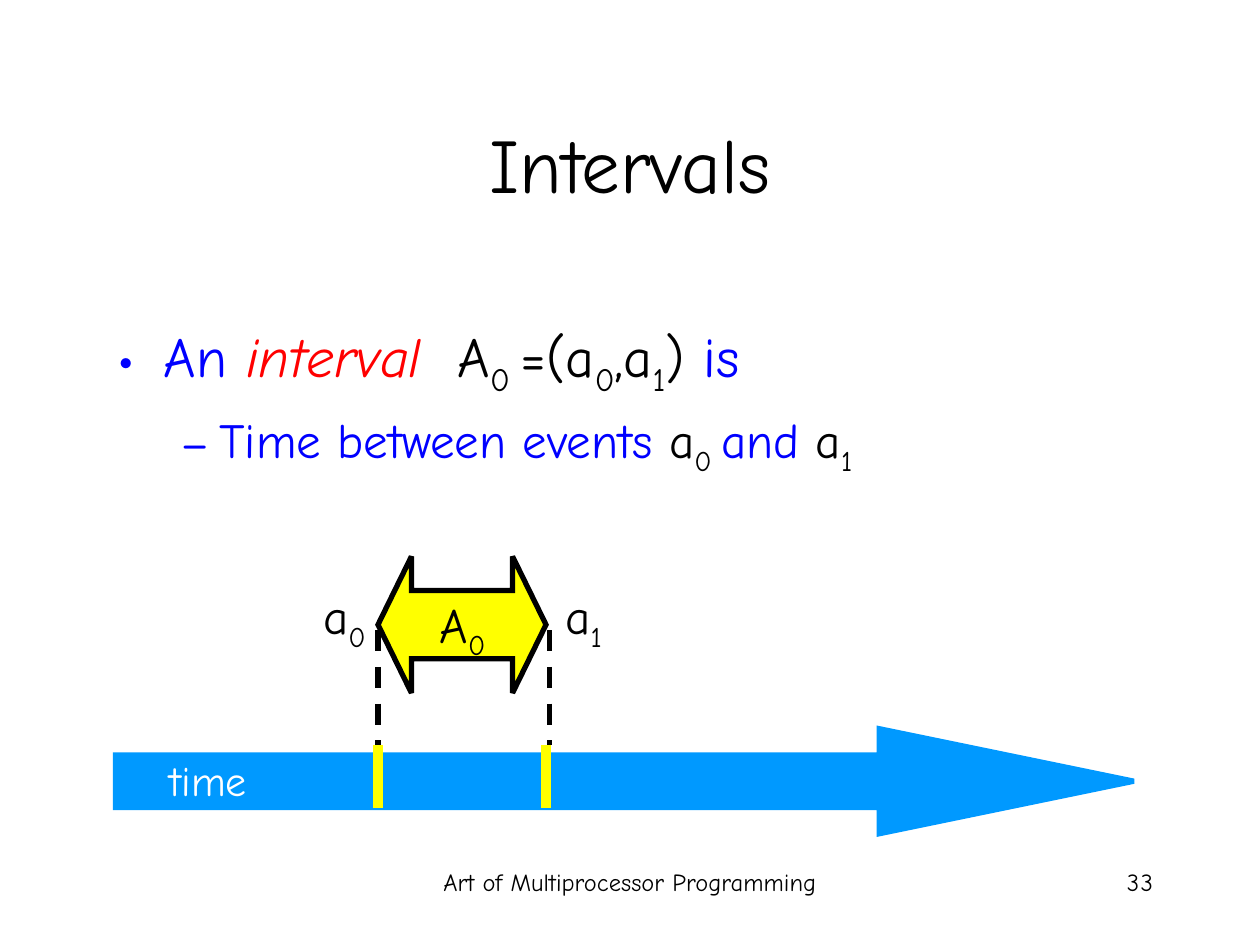
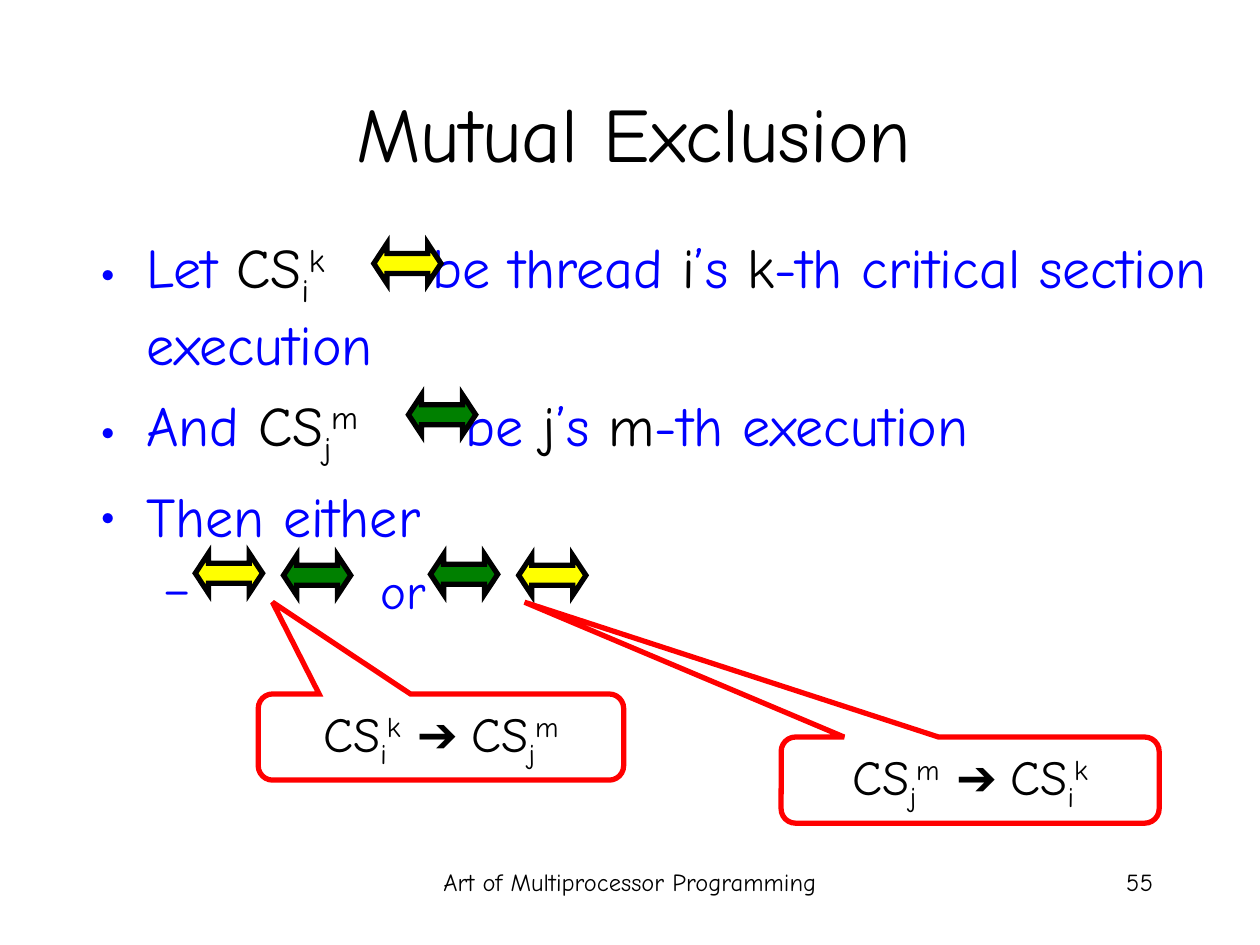
from dataclasses import dataclass

import pptx
import pptx.dml.color
import pptx.enum.dml
import pptx.enum.shapes
import pptx.enum.text
import pptx.oxml
import pptx.oxml.ns
import pptx.util
from lxml import etree

RGBColor = pptx.dml.color.RGBColor
Align = pptx.enum.text.PP_ALIGN
AutoSize = pptx.enum.text.MSO_AUTO_SIZE
Anchor = pptx.enum.text.MSO_ANCHOR
Preset = pptx.enum.shapes.MSO_SHAPE
qn = pptx.oxml.ns.qn

BLACK = RGBColor(0x00, 0x00, 0x00)
WHITE = RGBColor(0xFF, 0xFF, 0xFF)
BLUE = RGBColor(0x00, 0x00, 0xFF)
SKY = RGBColor(0x00, 0x99, 0xFF)
RED = RGBColor(0xFF, 0x00, 0x00)
YELLOW = RGBColor(0xFF, 0xFF, 0x00)
GREEN = RGBColor(0x00, 0x80, 0x00)

FONT = "Comic Neue"
SYMBOL_FONT = "Arial"
BOOK = "Art of Multiprocessor Programming"
TITLE_ONLY = 5

SLIDE_WIDTH = pptx.util.Inches(10)
SLIDE_HEIGHT = pptx.util.Inches(7.5)
COLUMNS = 120  # square cells: 120 columns by 90 rows
CELL = SLIDE_WIDTH / COLUMNS
INTERVAL_SIZE = (6.4, 3.8)


@dataclass(frozen=True)
class Box:
    """A place on the grid, in columns and rows."""
    column: float
    row: float
    columns: float
    rows: float

    def emu(self) -> tuple[int, ...]:
        return tuple(cells(n) for n in (self.column, self.row, self.columns, self.rows))


@dataclass(frozen=True)
class Run:
    text: str
    color: RGBColor = BLACK
    baseline: int = 0
    italic: bool = False
    font: str = FONT
    tracking: int = 0


@dataclass(frozen=True)
class Bullet:
    runs: list[Run]
    level: int = 0
    text_indent: float | None = None


@dataclass(frozen=True)
class BulletStyle:
    sign: str
    size: int
    sign_indent: float
    text_indent: float
    space_before: int


BULLET_STYLES = (
    BulletStyle("•", 32, 0, 0.37, 8),
    BulletStyle("–", 28, 0.5, 0.81, 7),
)


def cells(count: float) -> int:
    return round(count * CELL)


def blue(text: str) -> Run:
    return Run(text, BLUE)


def sub(text: str) -> Run:
    return Run(text, baseline=-25)


def sup(text: str) -> Run:
    return Run(text, baseline=30)


def gap(points: int) -> Run:
    """One space widened by the given points."""
    return Run(" ", BLUE, tracking=points)


def critical_section(thread: str, turn: str) -> list[Run]:
    return [Run("CS"), sub(thread), sup(turn)]


def add_runs(paragraph, runs: list[Run], size: int) -> None:
    for part in runs:
        run = paragraph.add_run()
        run.text = part.text
        run.font.name = part.font
        run.font.size = pptx.util.Pt(size)
        run.font.italic = part.italic
        run.font.color.rgb = part.color
        properties = run._r.get_or_add_rPr()
        if part.baseline:
            properties.set("baseline", str(part.baseline * 1000))
        if part.tracking:
            properties.set("spc", str(part.tracking * 100))


def add_text(slide, box: Box, runs: list[Run], size: int,
             align: Align = Align.RIGHT, wrap: bool = True) -> None:
    text = slide.shapes.add_textbox(*box.emu()).text_frame
    text.word_wrap = wrap
    text.auto_size = AutoSize.NONE if wrap else AutoSize.SHAPE_TO_FIT_TEXT
    text.paragraphs[0].alignment = align
    add_runs(text.paragraphs[0], runs, size)


def add_bullets(slide, box: Box, bullets: list[Bullet]) -> None:
    text = slide.shapes.add_textbox(*box.emu()).text_frame
    text.word_wrap = True
    for index, bullet in enumerate(bullets):
        paragraph = text.add_paragraph() if index else text.paragraphs[0]
        style = BULLET_STYLES[bullet.level]
        indent = bullet.text_indent or style.text_indent
        paragraph.level = bullet.level
        paragraph.space_before = pptx.util.Pt(style.space_before)
        properties = paragraph._p.get_or_add_pPr()
        properties.set("marL", str(pptx.util.Inches(indent)))
        properties.set("indent", str(pptx.util.Inches(style.sign_indent - indent)))
        sign_color = etree.SubElement(properties, qn("a:buClr"))
        etree.SubElement(sign_color, qn("a:srgbClr")).set("val", str(BLUE))
        etree.SubElement(properties, qn("a:buFont")).set("typeface", FONT)
        etree.SubElement(properties, qn("a:buChar")).set("char", style.sign)
        add_runs(paragraph, bullet.runs, style.size)


def add_shape(slide, preset: Preset, box: Box, adjustments: tuple[float, ...],
              line: RGBColor, fill: RGBColor | None = None):
    shape = slide.shapes.add_shape(preset, *box.emu())
    shape.shadow.inherit = False
    for index, value in enumerate(adjustments):
        shape.adjustments[index] = value
    if fill is None:
        shape.fill.background()
    else:
        shape.fill.solid()
        shape.fill.fore_color.rgb = fill
    shape.line.color.rgb = line
    shape.line.width = pptx.util.Pt(3)
    etree.SubElement(shape.line._get_or_add_ln(), qn("a:miter")).set("lim", "800000")
    return shape


def add_interval(slide, box: Box, fill: RGBColor, shaft_inset: float) -> None:
    add_shape(slide, Preset.LEFT_RIGHT_ARROW, box, (0.5, shaft_inset), BLACK, fill)


def add_small_interval(slide, column: float, row: float, fill: RGBColor) -> None:
    add_interval(slide, Box(column, row, *INTERVAL_SIZE), fill, 0.33)


def add_order_callout(slide, box: Box, pointer: tuple[float, float],
                      first: list[Run], second: list[Run]) -> None:
    callout = add_shape(slide, Preset.ROUNDED_RECTANGULAR_CALLOUT, box,
                        (*pointer, 0.167), RED)
    text = callout.text_frame
    text.word_wrap = True
    text.vertical_anchor = Anchor.MIDDLE
    text.paragraphs[0].alignment = Align.CENTER
    arrow = [Run(" "), Run("➔ ", font=SYMBOL_FONT)]
    add_runs(text.paragraphs[0], first + arrow + second, 28)


def add_vertical(slide, column: float, top: float, bottom: float,
                 color: RGBColor, width: int, dashed: bool = False) -> None:
    connector = slide.shapes.add_connector(
        pptx.enum.shapes.MSO_CONNECTOR.STRAIGHT,
        cells(column), cells(top), cells(column), cells(bottom))
    connector.line.color.rgb = color
    connector.line.width = pptx.util.Pt(width)
    if dashed:
        connector.line.dash_style = pptx.enum.dml.MSO_LINE.DASH
    etree.SubElement(connector._element.spPr, qn("a:effectLst"))


def add_slide(deck, heading: str, heading_box: Box, page_digit: str):
    """Add a slide with its title, footer and doubled page digit."""
    slide = deck.slides.add_slide(deck.slide_layouts[TITLE_ONLY])
    title = slide.shapes.title
    title.left, title.top, title.width, title.height = heading_box.emu()
    title.text_frame.auto_size = AutoSize.NONE
    title.text_frame.vertical_anchor = Anchor.MIDDLE
    title.text_frame.paragraphs[0].alignment = Align.CENTER
    add_runs(title.text_frame.paragraphs[0], [Run(heading)], 44)
    add_text(slide, Box(41, 82, 38, 6), [Run(BOOK)], 14, Align.CENTER)
    for column in (84.7, 86):
        add_text(slide, Box(column, 82, 25, 6), [Run(page_digit)], 14)
    return slide


def build_intervals(deck) -> None:
    slide = add_slide(deck, "Intervals", Box(9, 8, 102, 15), "3")
    add_shape(slide, Preset.RIGHT_ARROW, Box(11, 69.4, 97, 10), (0.5, 2.425), SKY, SKY)
    add_text(slide, Box(13.3, 71.3, 11.4, 6), [Run("time", WHITE)], 24, wrap=False)
    add_bullets(slide, Box(10, 30, 102, 43), [
        Bullet([blue("An "), Run("interval", RED, italic=True), gap(10),
                Run("A"), sub("0 "), Run("=(a"), sub("0"), Run(",a"), sub("1"),
                Run(")"), blue(" is")]),
        Bullet([blue("Time between events "), Run("a"), sub("0 "),
                blue("and "), Run("a"), sub("1")], level=1),
    ])
    for column in (36, 52.3):
        add_vertical(slide, column, 60, 71, BLACK, 3, dashed=True)
    add_interval(slide, Box(36, 53, 16, 13), YELLOW, 0.245)
    for column, row, letter, index in ((28.9, 55.2, "a", "0"), (51.4, 55.2, "a", "1"),
                                       (40.3, 56, "A", "0")):
        add_text(slide, Box(column, row, 7.1, 7.5), [Run(letter), sub(index)], 28,
                 wrap=False)
    for column in (36, 52):
        add_vertical(slide, column, 71, 77, YELLOW, 6)


def build_mutual_exclusion(deck) -> None:
    slide = add_slide(deck, "Mutual Exclusion", Box(9.4, 5, 102, 15), "5")
    ours, theirs = critical_section("i", "k"), critical_section("j", "m")
    add_bullets(slide, Box(8.3, 21.6, 108.4, 54.5), [
        Bullet([blue("Let "), *ours, gap(51), blue("be thread "), Run("i"),
                blue("’s "), Run("k"), blue("-th critical section execution")]),
        Bullet([blue("And "), *theirs, gap(51), blue("be "), Run("j"),
                blue("’s "), Run("m"), blue("-th execution")]),
        Bullet([blue("Then either")]),
        Bullet([blue("or")], level=1, text_indent=2.23),
    ])
    for column, row, fill in ((35.6, 23.2, YELLOW), (38.9, 37.6, GREEN),
                              (18.6, 52.7, YELLOW), (27, 52.9, GREEN),
                              (41, 52.8, GREEN), (49.4, 52.9, YELLOW)):
        add_small_interval(slide, column, row, fill)
    add_order_callout(slide, Box(24.6, 66.1, 34.8, 8.2), (-0.461, -1.566), ours, theirs)
    add_order_callout(slide, Box(74.4, 70.2, 36, 8.2), (-1.179, -2.066), theirs, ours)


def main() -> None:
    deck = pptx.Presentation()
    deck.slide_width, deck.slide_height = SLIDE_WIDTH, SLIDE_HEIGHT
    build_intervals(deck)
    build_mutual_exclusion(deck)
    deck.save("out.pptx")


if __name__ == "__main__":
    main()
